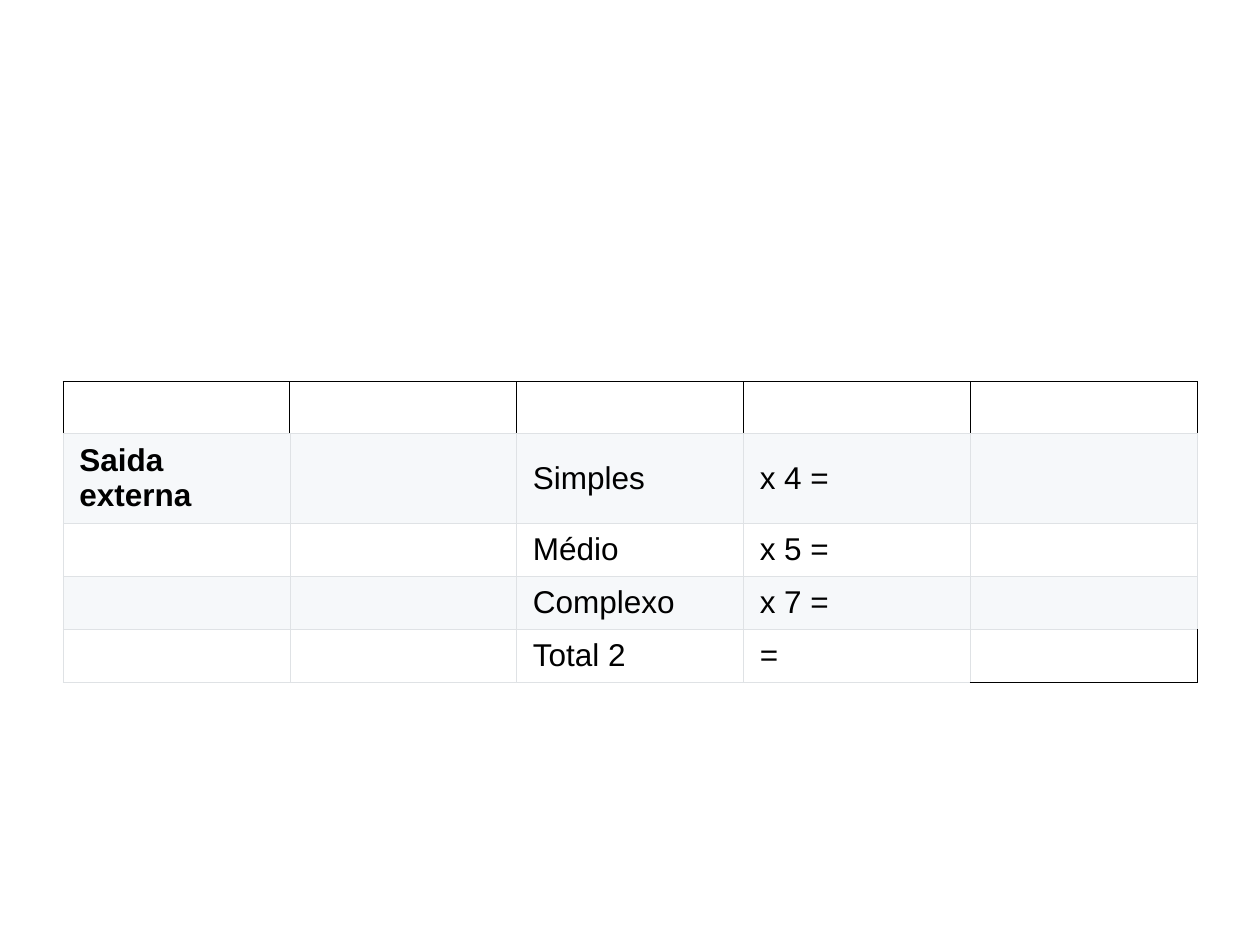
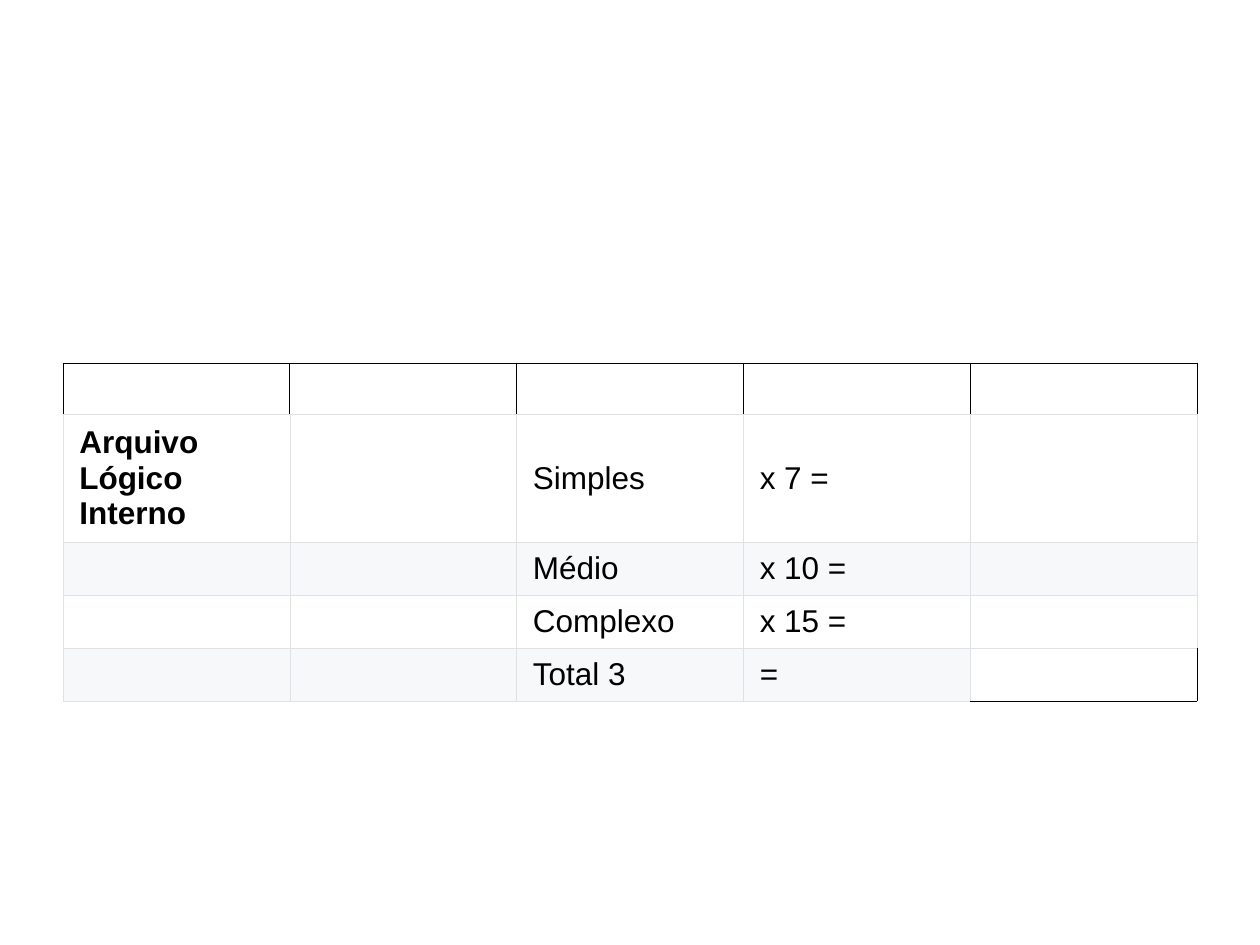
from lxml import etree
from pptx import Presentation
from pptx.dml.color import RGBColor
from pptx.enum import text
from pptx.oxml.ns import qn
from pptx.util import Inches, Pt

BLACK = RGBColor(0x00, 0x00, 0x00)
WHITE = RGBColor(0xFF, 0xFF, 0xFF)
STRIPE = RGBColor(0xF6, 0xF8, 0xFA)
GRID = RGBColor(0xDF, 0xE2, 0xE5)

# Function type, weight per complexity level, total label,
# height of the first level row, fills alternating from that row down
COUNTS = [
    ("Saida externa", (4, 5, 7), "Total 2", 0.72, (STRIPE, WHITE)),
    ("Arquivo Lógico Interno", (7, 10, 15), "Total 3", 1.02, (WHITE, STRIPE)),
]
LEVELS = ("Simples", "Médio", "Complexo")

COLUMNS = 5
LEFT, WIDTH, CENTRE_Y = 0.5, 9, 4.22
HEADER_HEIGHT, ROW_HEIGHT = 0.4, 0.42

THIN, STRONG = (GRID, 0.34), (BLACK, 0.45)
SIDES = ("L", "R", "T", "B")
HEADER_STRONG, RESULT_STRONG = "LRT", "RB"

CELL_FORMAT = {
    "vertical_anchor": text.MSO_ANCHOR.MIDDLE,
    "margin_left": Inches(0.13), "margin_right": Inches(0.13),
    "margin_top": Inches(0.05), "margin_bottom": Inches(0.05),
}
FONT_FORMAT = {"name": "Arial", "size": Pt(18)}
PLAIN_TABLE = {"first_row": False, "horz_banding": False}


def apply(target, values):
    for name, value in values.items():
        setattr(target, name, value)


def set_borders(cell, strong_sides):
    properties = cell._tc.get_or_add_tcPr()
    for side in SIDES:
        colour, points = STRONG if side in strong_sides else THIN
        line = etree.SubElement(properties, qn(f"a:ln{side}"), w=str(Pt(points)))
        fill = etree.SubElement(line, qn("a:solidFill"))
        etree.SubElement(fill, qn("a:srgbClr"), val=str(colour))


def write(cell, words, bold):
    apply(cell, CELL_FORMAT)
    cell.text = words
    font = cell.text_frame.paragraphs[0].runs[0].font
    apply(font, {**FONT_FORMAT, "bold": bold})
    font.color.rgb = BLACK


def count_rows(function_type, weights, total):
    """Rows of the grid, from the empty header to the total."""
    rows = [("", "", level, f"x {weight} =", "")
            for level, weight in zip(LEVELS, weights)]
    rows[0] = (function_type, *rows[0][1:])
    return [("",) * COLUMNS, *rows, ("", "", total, "=", "")]


def add_count_table(slide, function_type, weights, total, first_height, fills):
    rows = count_rows(function_type, weights, total)
    heights = [HEADER_HEIGHT, first_height] + [ROW_HEIGHT] * (len(rows) - 2)
    height = sum(heights)
    table = slide.shapes.add_table(
        len(rows), COLUMNS, Inches(LEFT), Inches(CENTRE_Y - height / 2),
        Inches(WIDTH), Inches(height)).table
    apply(table, PLAIN_TABLE)

    for r, (row, row_height) in enumerate(zip(rows, heights)):
        table.rows[r].height = Inches(row_height)
        for c, words in enumerate(row):
            cell = table.cell(r, c)
            is_header = r == 0
            is_result = r == len(rows) - 1 and c == COLUMNS - 1
            set_borders(cell, HEADER_STRONG if is_header
                        else RESULT_STRONG if is_result else "")
            if is_header or is_result:
                cell.fill.background()
            else:
                cell.fill.solid()
                cell.fill.fore_color.rgb = fills[(r - 1) % 2]
            if words:
                write(cell, words, bold=c == 0)


def main():
    deck = Presentation()
    deck.slide_width, deck.slide_height = Inches(10), Inches(7.5)
    blank = deck.slide_layouts[6]
    for count in COUNTS:
        add_count_table(deck.slides.add_slide(blank), *count)
    deck.save("out.pptx")


if __name__ == "__main__":
    main()
